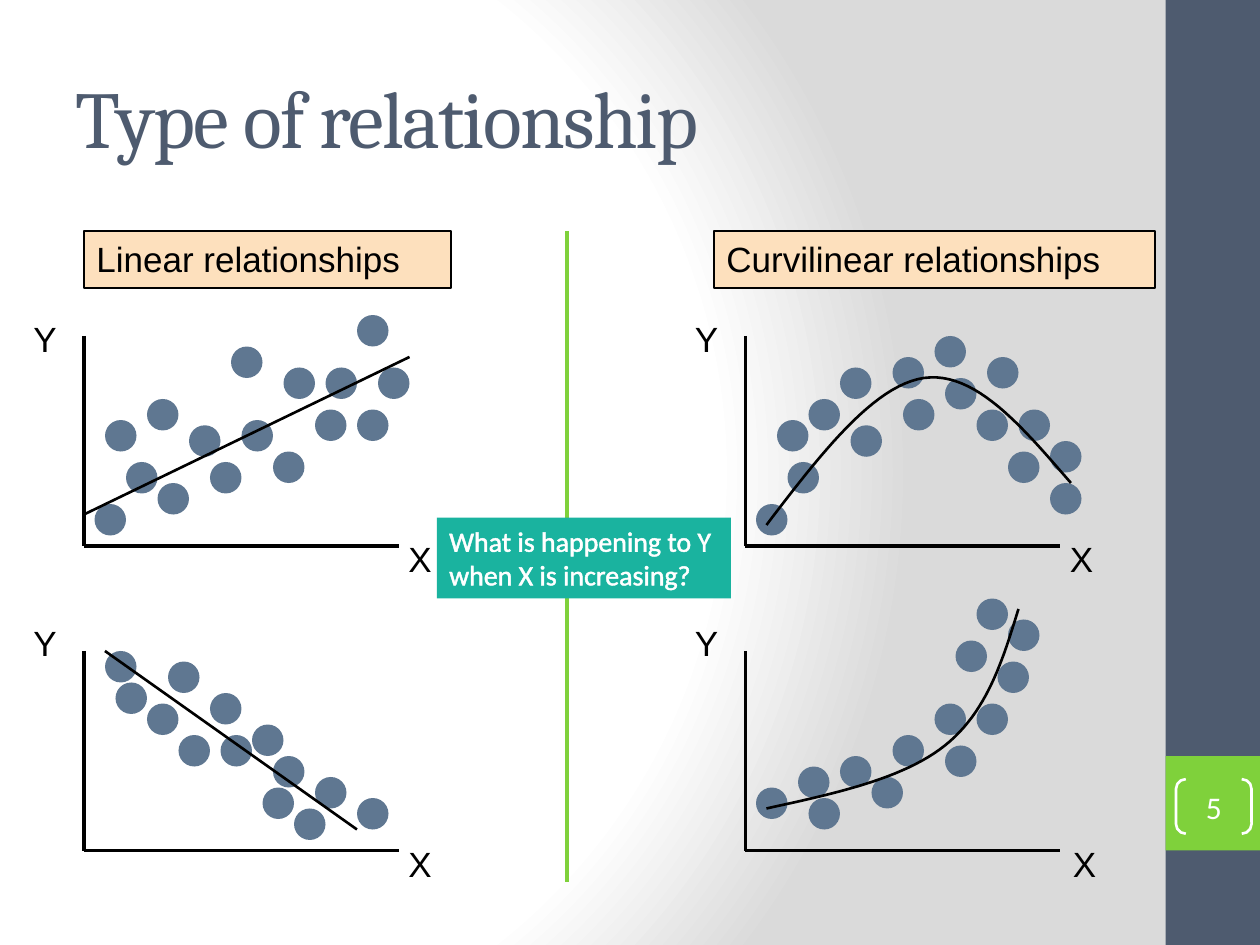
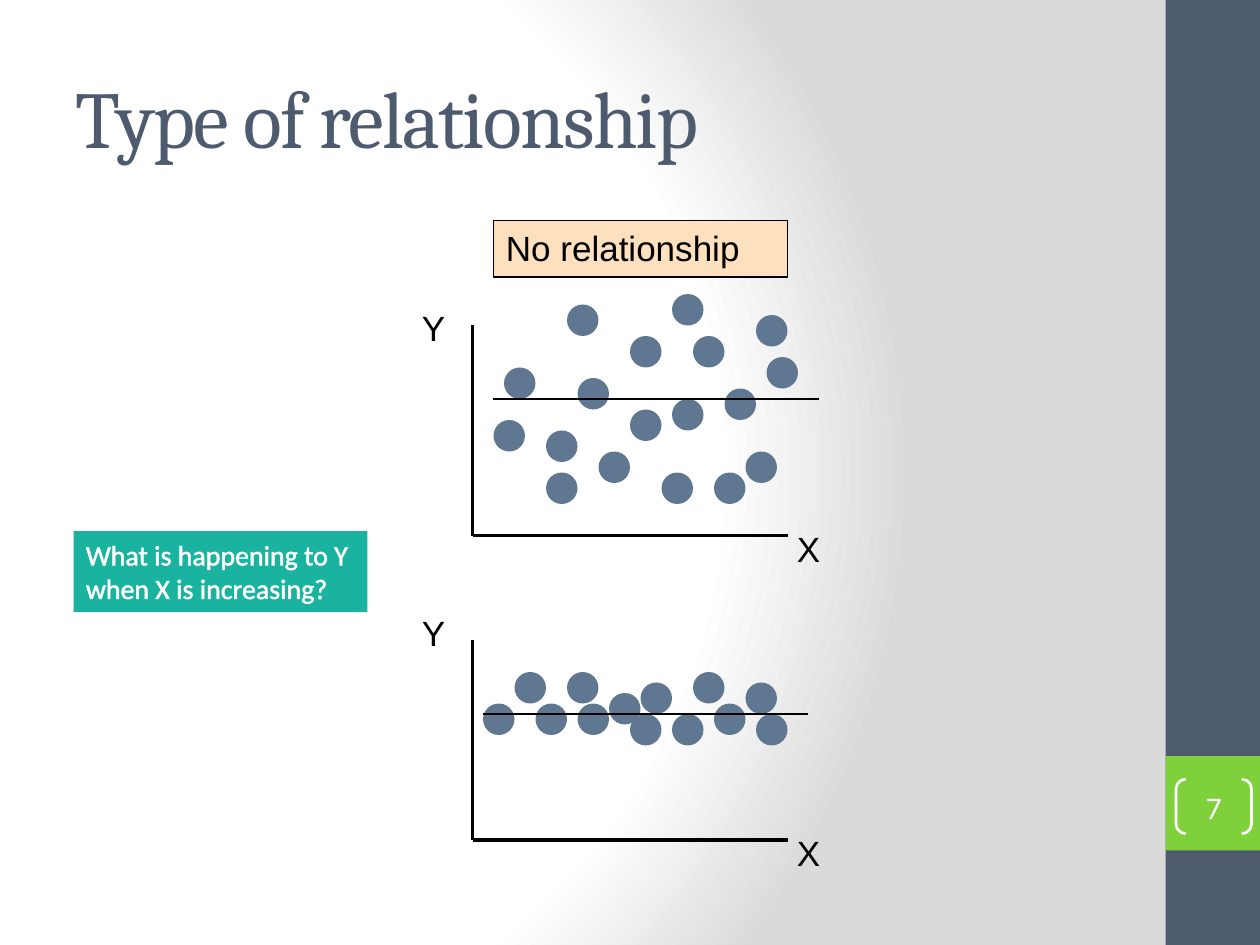
from dataclasses import dataclass

from lxml import etree
from pptx import Presentation, util as u
from pptx.dml.color import RGBColor
from pptx.enum import shapes as kinds, text as txt
from pptx.oxml import parse_xml
from pptx.oxml.ns import nsdecls, qn

COLUMNS, ROWS = 120, 90
CELL = u.Inches(10) // COLUMNS
DOT = 3
AXIS_LENGTH = 30

Point = tuple[float, float]


@dataclass(frozen=True)
class Theme:
    ink: str = "000000"
    paper: str = "FFFFFF"
    shade: str = "DADADA"
    slate: str = "4E5B6F"
    green: str = "7FD13B"
    peach: str = "FDE0BD"
    teal: str = "1AB39F"
    dot: str = "5F7791"
    heading_font: str = "Cambria"
    body_font: str = "Calibri"
    plot_font: str = "Arial"
    title_size: float = 46
    plot_size: float = 20
    number_size: float = 18
    question_size: float = 16


@dataclass(frozen=True)
class Area:
    col: float
    row: float
    cols: float
    rows: float

    def emu(self) -> list[int]:
        return [cells(v) for v in (self.col, self.row, self.cols, self.rows)]


@dataclass(frozen=True)
class Style:
    font: str
    size: float
    color: str


@dataclass(frozen=True)
class Plot:
    """A scatter plot; dots (lower left corners) and trend count cells from the origin.

    Two trend points make a straight line, more are joined cubic curves.
    """
    origin: Point
    height: float
    dots: tuple[Point, ...]
    trend: tuple[Point, ...]
    x_label_offset: float = 29.7

    def place(self, point: Point) -> Point:
        return self.origin[0] + point[0], self.origin[1] - point[1]


@dataclass(frozen=True)
class Heading:
    words: str
    area: Area


@dataclass(frozen=True)
class Page:
    number: int
    headings: tuple[Heading, ...]
    plots: tuple[Plot, ...]
    question_at: Point
    divider: tuple[Point, ...] = ()


THEME = Theme()
TITLE = "Type of relationship"
QUESTION = "What is happening to Y when X is increasing?"
TITLE_STYLE = Style(THEME.heading_font, THEME.title_size, THEME.slate)
PLOT_STYLE = Style(THEME.plot_font, THEME.plot_size, THEME.ink)
NUMBER_STYLE = Style(THEME.body_font, THEME.number_size, THEME.paper)
QUESTION_STYLE = Style(THEME.body_font, THEME.question_size, THEME.paper)

RISING = Plot(
    (8, 52), 20,
    ((1, 1), (4, 5), (26, 19), (28, 14), (7, 3), (23, 14), (18, 6), (19, 14),
     (14, 16), (2, 9), (6, 11), (10, 8.5), (22, 10), (15, 9), (12, 5), (26, 10)),
    ((0, 3), (31, 18)))
FALLING = Plot(
    (8, 81), 19,
    ((20, 1), (3, 13), (26, 2), (8, 15), (18, 6), (22, 4), (12, 12),
     (2, 16), (6, 11), (9, 8), (17, 3), (16, 9), (13, 8)),
    ((2, 19), (26, 2)))
ARCHED = Plot(
    (71, 52), 20,
    ((1, 1), (4, 5), (29, 7), (23, 15), (9, 14), (29, 3), (25, 6), (19, 13),
     (14, 15), (3, 9), (6, 11), (10, 8.5), (22, 10), (15, 11), (18, 17), (26, 10)),
    ((2, 2), (7.1, 8.7), (12.2, 15.3), (17, 16), (21.9, 16.7), (26.4, 11.3), (31, 6)))
STEEPENING = Plot(
    (71, 81), 19,
    ((1, 3), (5, 5), (25, 19), (24, 15), (6, 2), (20, 17), (19, 7),
     (18, 11), (22, 21), (9, 6), (22, 11), (14, 8), (12, 4)),
    ((2, 4), (8.4, 5.4), (15, 6.8), (19, 10), (23, 13.2), (24.5, 18.1), (26, 23)),
    x_label_offset=30)
SCATTERED = Plot(
    (45, 51), 20,
    ((19, 20), (2, 8), (26, 5), (28, 14), (7, 3), (9, 19), (19, 10), (21, 16), (27, 18),
     (15, 16), (7, 7), (10, 12), (23, 3), (15, 9), (12, 5), (3, 13), (18, 3), (24, 11)),
    ((2, 13), (33, 13)))
LEVEL = Plot(
    (45, 80), 19,
    ((27, 9), (6, 10), (26, 12), (9, 13), (21, 13), (23, 10), (13, 11),
     (1, 10), (4, 13), (10, 10), (19, 9), (16, 12), (15, 9)),
    ((1, 12), (32, 12)))

PAGES = (
    Page(5,
         (Heading("Linear relationships", Area(8, 22, 35, 5.4)),
          Heading("Curvilinear relationships", Area(68, 22, 42, 5.4))),
         (FALLING, RISING, STEEPENING, ARCHED),
         question_at=(41.6, 49.3),
         divider=((54, 22), (54, 84))),
    Page(7,
         (Heading("No relationship", Area(47, 21, 28, 5.4)),),
         (LEVEL, SCATTERED),
         question_at=(7, 50.6)),
)


def cells(count: float) -> int:
    return round(count * CELL)


def rgb(color: str) -> RGBColor:
    return RGBColor.from_string(color)


def write(shape, words: str, style: Style, anchor=txt.MSO_ANCHOR.TOP,
          align=txt.PP_ALIGN.LEFT, wrap: bool = True):
    frame = shape.text_frame
    frame.text = words
    frame.word_wrap = wrap
    frame.vertical_anchor = anchor
    paragraph = frame.paragraphs[0]
    paragraph.alignment = align
    run = paragraph.runs[0]
    run.font.name = style.font
    run.font.size = u.Pt(style.size)
    run.font.color.rgb = rgb(style.color)
    return run


def add_figure(slide, kind, area: Area, fill: str = "", line: str = "", width: float = 1):
    figure = slide.shapes.add_shape(kind, *area.emu())
    paint(figure, fill, line, width)
    return figure


def paint(figure, fill: str, line: str, width: float) -> None:
    figure.shadow.inherit = False
    if fill:
        figure.fill.solid()
        figure.fill.fore_color.rgb = rgb(fill)
    else:
        figure.fill.background()
    if line:
        figure.line.color.rgb = rgb(line)
        figure.line.width = u.Pt(width)
    else:
        figure.line.fill.background()


def add_line(slide, start: Point, end: Point, color: str, width: float) -> None:
    line = slide.shapes.add_connector(
        kinds.MSO_CONNECTOR.STRAIGHT, *(cells(v) for v in (*start, *end)))
    line.line.color.rgb = rgb(color)
    line.line.width = u.Pt(width)
    etree.SubElement(line.element.spPr, qn("a:effectLst"))


def cubic(knots: tuple[Point, ...], steps: int = 24) -> list[Point]:
    """Sample joined cubic Bezier segments, each sharing its end with the next start."""
    points = [knots[0]]
    for first in range(0, len(knots) - 1, 3):
        segment = knots[first:first + 4]
        for step in range(1, steps + 1):
            t = step / steps
            weights = ((1 - t) ** 3, 3 * t * (1 - t) ** 2, 3 * t * t * (1 - t), t ** 3)
            points.append(tuple(
                sum(w * knot[axis] for w, knot in zip(weights, segment)) for axis in (0, 1)))
    return points


def add_trend(slide, plot: Plot) -> None:
    knots = tuple(plot.place(point) for point in plot.trend)
    if len(knots) == 2:
        add_line(slide, *knots, THEME.ink, 1.5)
        return
    start, *rest = [(cells(x), cells(y)) for x, y in cubic(knots)]
    builder = slide.shapes.build_freeform(*start)
    builder.add_line_segments(rest, close=False)
    paint(builder.convert_to_shape(), "", THEME.ink, 1.5)


def add_plot(slide, plot: Plot) -> None:
    add_line(slide, plot.place((0, plot.height)), plot.origin, THEME.ink, 2)
    add_line(slide, plot.origin, plot.place((AXIS_LENGTH, 0)), THEME.ink, 2)
    for x, y in plot.dots:
        corner = plot.place((x, y + DOT))
        add_figure(slide, kinds.MSO_SHAPE.OVAL, Area(*corner, DOT, DOT), THEME.dot)
    for letter, offset in (("Y", (-6, 22.4)), ("X", (plot.x_label_offset, 1.4))):
        area = Area(*plot.place(offset), 4.7, 5.2)
        write(slide.shapes.add_textbox(*area.emu()), letter, PLOT_STYLE, wrap=False)
    add_trend(slide, plot)


def add_frame(slide, number: int) -> None:
    """Draw the side band, the page number and the title."""
    rectangle = kinds.MSO_SHAPE.RECTANGLE
    add_figure(slide, rectangle, Area(111, 0, 9, ROWS), THEME.slate)
    add_figure(slide, rectangle, Area(111, 72, 9, 9), THEME.green)
    brackets = add_figure(slide, kinds.MSO_SHAPE.DOUBLE_BRACKET,
                          Area(112, 74.2, 7.2, 5.2), line=THEME.paper, width=1.5)
    brackets.adjustments[0] = 0.18
    frame = brackets.text_frame
    frame.margin_left = frame.margin_right = frame.margin_top = frame.margin_bottom = 0
    write(brackets, str(number), NUMBER_STYLE, txt.MSO_ANCHOR.MIDDLE, txt.PP_ALIGN.CENTER)
    title = slide.shapes.add_textbox(*Area(6, 3.6, 100, 15).emu())
    run = write(title, TITLE, TITLE_STYLE, txt.MSO_ANCHOR.MIDDLE)
    run.font.element.set("spc", "-100") if hasattr(run.font, "element") else \
        run.font.size and run._r.get_or_add_rPr().set("spc", "-100")


def add_question(slide, corner: Point) -> None:
    box = add_figure(slide, kinds.MSO_SHAPE.RECTANGLE, Area(*corner, 28, 7.7), THEME.teal)
    run = write(box, QUESTION, QUESTION_STYLE)
    outline = parse_xml(
        f'<a:ln {nsdecls("a")} w="{u.Pt(1.45)}"><a:solidFill>'
        f'<a:srgbClr val="{THEME.paper}"/></a:solidFill></a:ln>')
    run._r.get_or_add_rPr().insert(0, outline)


def set_background(master) -> None:
    fill = master.background.fill
    fill.solid()
    stops = "".join(
        f'<a:gs pos="{share * 1000}"><a:srgbClr val="{color}"/></a:gs>'
        for share, color in ((0, THEME.paper), (75, THEME.paper), (100, THEME.shade)))
    gradient = parse_xml(
        f'<a:gradFill {nsdecls("a")} rotWithShape="1"><a:gsLst>{stops}</a:gsLst>'
        '<a:path path="circle"><a:fillToRect l="20000" t="50000" r="100000" b="50000"/>'
        '</a:path></a:gradFill>')
    solid = master.element.find(f'.//{qn("p:bgPr")}/{qn("a:solidFill")}')
    solid.getparent().replace(solid, gradient)


def add_page(prs, page: Page) -> None:
    slide = prs.slides.add_slide(prs.slide_layouts[6])
    add_frame(slide, page.number)
    for plot in page.plots:
        add_plot(slide, plot)
    for heading in page.headings:
        box = add_figure(slide, kinds.MSO_SHAPE.RECTANGLE, heading.area,
                         THEME.peach, THEME.ink)
        write(box, heading.words, PLOT_STYLE)
    if page.divider:
        add_line(slide, *page.divider, THEME.green, 2.25)
    add_question(slide, page.question_at)


def main() -> None:
    prs = Presentation()
    prs.slide_width, prs.slide_height = cells(COLUMNS), cells(ROWS)
    set_background(prs.slide_master)
    for page in PAGES:
        add_page(prs, page)
    prs.save("out.pptx")


if __name__ == "__main__":
    main()
